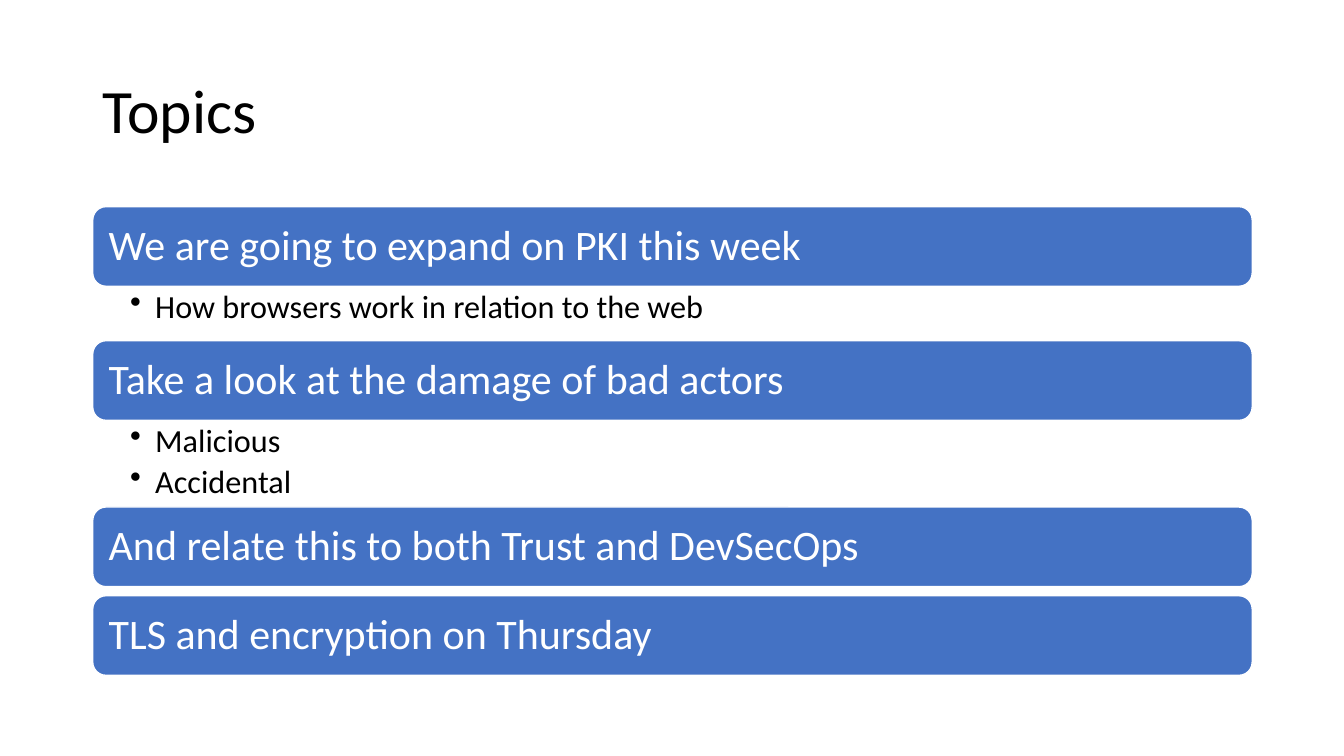
from lxml import etree
from pptx import Presentation
from pptx import util as u
from pptx.dml.color import RGBColor
from pptx.enum import shapes, text
from pptx.oxml.ns import qn

TOPICS = [
    ("We are going to expand on PKI this week", ["How browsers work in relation to the web"], 0.54),
    ("Take a look at the damage of bad actors", ["Malicious", "Accidental"], 0.86),
    ("And relate this to both Trust and DevSecOps", [], 0.09),
    ("TLS and encryption on Thursday", [], 0),
]


def color(value):
    return RGBColor.from_string(value)


class TopicSlide:
    """Holds the style and the current slide, and adds each kind of element."""

    font = "Calibri"
    black, white, blue = "000000", "FFFFFF", "4472C4"
    left, width, bar_height = 0.92, 11.5, 0.79

    def __init__(self, presentation):
        self.slide = presentation.slides.add_slide(presentation.slide_layouts[5])

    def set_frame(self, frame, anchor, margins):
        frame.word_wrap = True
        frame.auto_size = text.MSO_AUTO_SIZE.NONE
        frame.vertical_anchor = anchor
        frame.margin_left, frame.margin_top, frame.margin_right, frame.margin_bottom = map(u.Inches, margins)

    def add_words(self, paragraph, words, size, ink):
        paragraph.alignment = text.PP_ALIGN.LEFT
        paragraph.line_spacing = 0.9
        run = paragraph.add_run()
        run.text = words
        run.font.name = self.font
        run.font.size = u.Pt(size)
        run.font.color.rgb = color(ink)

    def add_title(self, words):
        title = self.slide.shapes.title
        title.left, title.top = u.Inches(self.left), u.Inches(0.4)
        title.width, title.height = u.Inches(self.width), u.Inches(1.45)
        self.set_frame(title.text_frame, text.MSO_ANCHOR.MIDDLE, (0.1, 0.05, 0.1, 0.05))
        self.add_words(title.text_frame.paragraphs[0], words, 44, self.black)

    def add_bar(self, words, top):
        bar = self.slide.shapes.add_shape(
            shapes.MSO_SHAPE.ROUNDED_RECTANGLE, u.Inches(self.left), u.Inches(top),
            u.Inches(self.width), u.Inches(self.bar_height))
        bar.shadow.inherit = False
        bar.fill.solid()
        bar.fill.fore_color.rgb = color(self.blue)
        bar.line.color.rgb = color(self.white)
        bar.line.width = u.Pt(1)
        self.set_frame(bar.text_frame, text.MSO_ANCHOR.MIDDLE, (0.12,) * 4)
        self.add_words(bar.text_frame.paragraphs[0], words, 30, self.white)

    def add_bullets(self, items, top, height):
        box = self.slide.shapes.add_textbox(
            u.Inches(self.left), u.Inches(top), u.Inches(self.width), u.Inches(height))
        frame = box.text_frame
        self.set_frame(frame, text.MSO_ANCHOR.TOP, (0.37, 0.04, 0.23, 0.04))
        for index, item in enumerate(items):
            paragraph = frame.add_paragraph() if index else frame.paragraphs[0]
            paragraph.level = 1
            self.add_words(paragraph, item, 23, self.black)
            paragraph.space_after = u.Pt(4.6)
            properties = paragraph._p.get_or_add_pPr()
            properties.set("marL", str(u.Inches(0.25)))
            properties.set("indent", str(u.Inches(-0.25)))
            etree.SubElement(properties, qn("a:buChar"), char="•")


def main():
    presentation = Presentation()
    presentation.slide_width, presentation.slide_height = u.Inches(13.33), u.Inches(7.5)
    topic_slide = TopicSlide(presentation)
    topic_slide.add_title("Topics")
    top = 2.05
    for heading, items, space_below in TOPICS:
        topic_slide.add_bar(heading, top)
        top += topic_slide.bar_height
        if items:
            topic_slide.add_bullets(items, top, space_below)
        top += space_below
    presentation.save("out.pptx")


if __name__ == "__main__":
    main()
